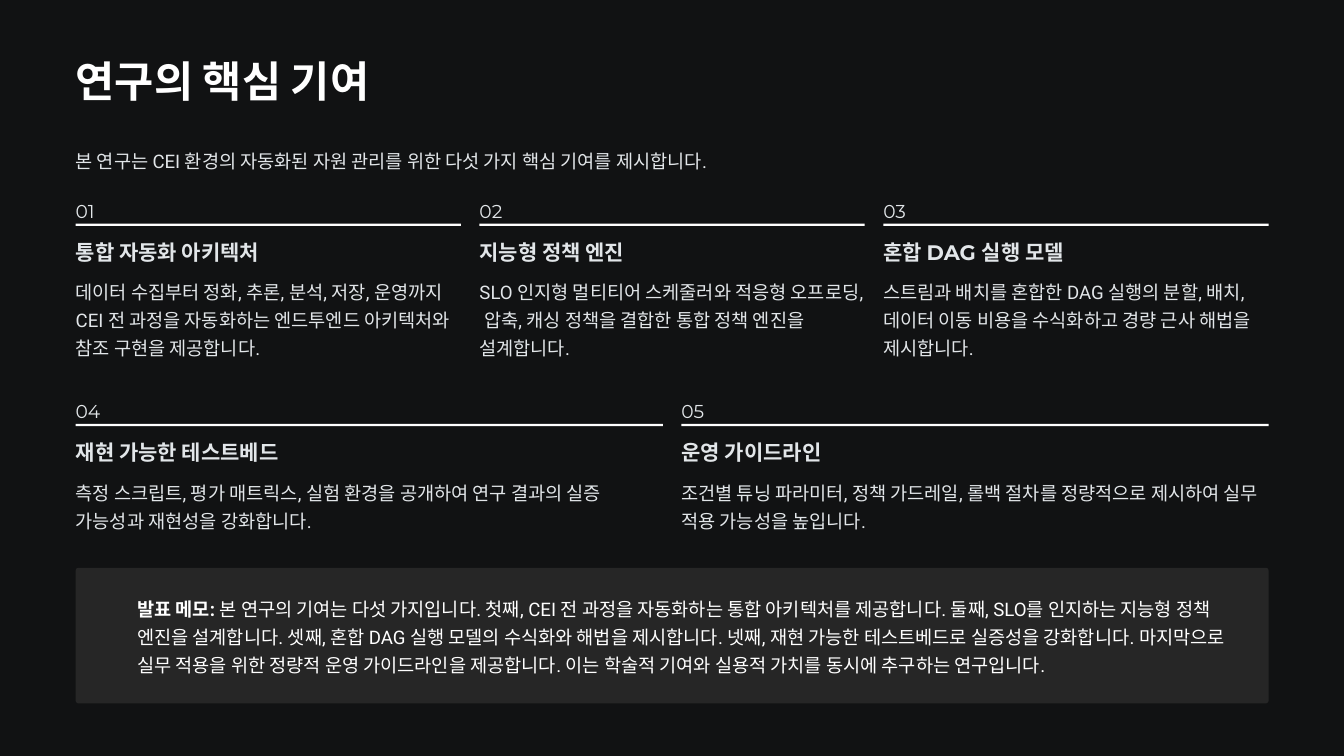
from pptx import Presentation
from pptx.dml.color import RGBColor
from pptx.enum.shapes import MSO_SHAPE
from pptx.util import Cm, Pt

RECTANGLE = MSO_SHAPE.RECTANGLE
ROUNDED_RECTANGLE = MSO_SHAPE.ROUNDED_RECTANGLE

COLORS = {
    "background": "111213",
    "panel": "262626",
    "white": "FFFFFF",
    "text": "E2E6E9",
}
HEADING_FONT = "Montserrat"
BODY_FONT = "Roboto"

# Layout in centimetres
SLIDE_WIDTH = 40.64
SLIDE_HEIGHT = 22.86
LEFT = 2.29
CONTENT_WIDTH = 36.07
COLUMN_GAP = 0.56
BODY_INSET = 0.1

presentation = Presentation()
presentation.slide_width = Cm(SLIDE_WIDTH)
presentation.slide_height = Cm(SLIDE_HEIGHT)
slide = presentation.slides.add_slide(presentation.slide_layouts[6])


def add_text(left, top, width, height, runs, size, line_spacing,
             font=BODY_FONT, color="text", wrap=False):
    """Add a text box without margins; runs is a list of (text, bold)."""
    shape = slide.shapes.add_textbox(Cm(left), Cm(top), Cm(width), Cm(height))
    text_frame = shape.text_frame
    text_frame.word_wrap = wrap
    text_frame.margin_left = text_frame.margin_right = 0
    text_frame.margin_top = text_frame.margin_bottom = 0
    paragraph = text_frame.paragraphs[0]
    paragraph.line_spacing = Pt(line_spacing)
    for text, bold in runs:
        run = paragraph.add_run()
        run.text = text
        run.font.name = font
        run.font.size = Pt(size)
        run.font.bold = bold
        run.font.color.rgb = RGBColor.from_string(COLORS[color])


def add_block(kind, left, top, width, height, color):
    """Add a filled shape without outline or shadow."""
    shape = slide.shapes.add_shape(kind, Cm(left), Cm(top), Cm(width), Cm(height))
    shape.shadow.inherit = False
    shape.fill.solid()
    shape.fill.fore_color.rgb = RGBColor.from_string(COLORS[color])
    shape.line.fill.background()
    return shape


# Backdrop
add_block(RECTANGLE, 0, 0, SLIDE_WIDTH, SLIDE_HEIGHT, "background")

# Title and introduction
add_text(LEFT, 1.57, 13, 1.63, [("연구의 핵심 기여", True)], 36.5, 46,
         HEADING_FONT, "white")
add_text(LEFT, 4.37, CONTENT_WIDTH, 0.86,
         [("본 연구는 CEI 환경의 자동화된 자원 관리를 위한 다섯 가지 핵심 기여를 제시합니다.", False)],
         16, 24)

# Contributions: (top, body height, items) for each row
rows = [
    (5.86, 2.57, [
        ("통합 자동화 아키텍처",
         "데이터 수집부터 정화, 추론, 분석, 저장, 운영까지 CEI 전 과정을 자동화하는 "
         "엔드투엔드 아키텍처와 참조 구현을 제공합니다."),
        ("지능형 정책 엔진",
         "SLO 인지형 멀티티어 스케줄러와 적응형 오프로딩, 압축, 캐싱 정책을 결합한 "
         "통합 정책 엔진을 설계합니다."),
        ("혼합 DAG 실행 모델",
         "스트림과 배치를 혼합한 DAG 실행의 분할, 배치, 데이터 이동 비용을 수식화하고 "
         "경량 근사 해법을 제시합니다."),
    ]),
    (11.92, 1.73, [
        ("재현 가능한 테스트베드",
         "측정 스크립트, 평가 매트릭스, 실험 환경을 공개하여 연구 결과의 실증 "
         "가능성과 재현성을 강화합니다."),
        ("운영 가이드라인",
         "조건별 튜닝 파라미터, 정책 가드레일, 롤백 절차를 정량적으로 제시하여 "
         "실무 적용 가능성을 높입니다."),
    ]),
]
number = 0
for top, body_height, items in rows:
    width = (CONTENT_WIDTH - COLUMN_GAP * (len(items) - 1)) / len(items)
    for column, (heading, body) in enumerate(items):
        number += 1
        left = LEFT + column * (width + COLUMN_GAP)
        add_text(left, top, 1.2, 0.71, [(f"{number:02d}", False)], 16, 24,
                 HEADING_FONT)
        add_block(RECTANGLE, left, top + 0.9, width, 0.07, "white")
        add_text(left, top + 1.32, 6.5, 0.81, [(heading, True)], 18, 23,
                 HEADING_FONT)
        add_text(left, top + 2.47, width - BODY_INSET, body_height,
                 [(body, False)], 16, 24, wrap=True)

# Presenter memo panel
panel = add_block(ROUNDED_RECTANGLE, LEFT, 17.17, CONTENT_WIDTH, 4.1, "panel")
panel.adjustments[0] = 0.02
memo = (
    " 본 연구의 기여는 다섯 가지입니다. 첫째, CEI 전 과정을 자동화하는 통합 아키텍처를 제공합니다. "
    "둘째, SLO를 인지하는 지능형 정책 엔진을 설계합니다. "
    "셋째, 혼합 DAG 실행 모델의 수식화와 해법을 제시합니다. "
    "넷째, 재현 가능한 테스트베드로 실증성을 강화합니다. "
    "마지막으로 실무 적용을 위한 정량적 운영 가이드라인을 제공합니다. "
    "이는 학술적 기여와 실용적 가치를 동시에 추구하는 연구입니다."
)
add_text(4.15, 17.91, 33.63, 2.57, [("발표 메모:", True), (memo, False)], 16, 24,
         color="white", wrap=True)

presentation.save("out.pptx")
